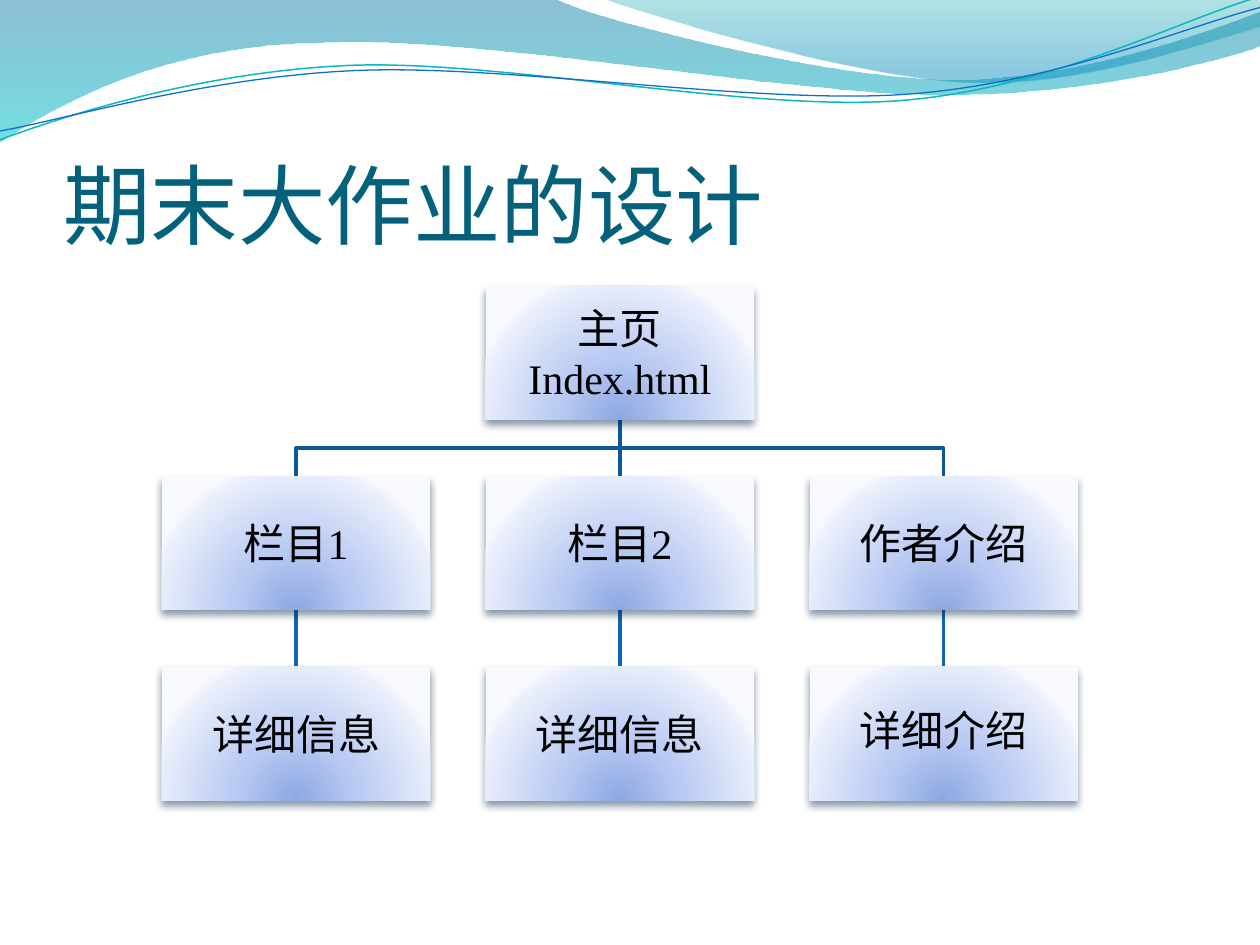
from pptx import Presentation, util as u
from pptx.dml.color import RGBColor
from pptx.enum import shapes, text
from pptx.oxml import parse_xml
from pptx.oxml.ns import qn

NAMESPACE = 'xmlns:a="http://schemas.openxmlformats.org/drawingml/2006/main"'
TITLE_COLOR = RGBColor(0x04, 0x61, 0x7B)
TEXT_COLOR = RGBColor(0, 0, 0)
UPPER_LINK = RGBColor(0x0C, 0x59, 0x9F)
LOWER_LINK = RGBColor(0x0E, 0x65, 0xB4)
TEAL = RGBColor(0x0A, 0xB8, 0xBF)
BLUE = RGBColor(0x0F, 0x6F, 0xC6)

presentation = Presentation()
presentation.slide_width = u.Inches(10)
presentation.slide_height = u.Inches(7.5)
slide = presentation.slides.add_slide(presentation.slide_layouts[5])


def draw_outline(start, segments, closed=False, color=None, width=0):
    points = [segment[i:i + 2] for segment in segments for i in range(0, len(segment), 2)]
    builder = slide.shapes.build_freeform(u.Inches(start[0]), u.Inches(start[1]))
    builder.add_line_segments([(u.Inches(x), u.Inches(y)) for x, y in points], close=closed)
    shape = builder.convert_to_shape()
    steps = iter(list(shape._element.iter(qn("a:lnTo"))))
    for segment in segments:
        step = next(steps)
        if len(segment) == 6:
            curve = parse_xml(f"<a:cubicBezTo {NAMESPACE}/>")
            step.addprevious(curve)
            for control in (step, next(steps), next(steps)):
                curve.append(control[0])
                control.getparent().remove(control)
    shape.shadow.inherit = False
    shape.fill.background()
    shape.line.fill.background()
    if color is not None:
        shape.line.color.rgb = color
        shape.line.width = u.Pt(width)
    return shape


def set_gradient(shape, stops, direction):
    shape.fill.background()
    stop_xml = "".join(
        f'<a:gs pos="{position * 1000}"><a:srgbClr val="{color}">'
        f'<a:alpha val="{opacity * 1000}"/></a:srgbClr></a:gs>'
        for position, color, opacity in stops)
    empty_fill = shape._element.spPr.find(qn("a:noFill"))
    shape._element.spPr.replace(empty_fill, parse_xml(
        f'<a:gradFill {NAMESPACE} rotWithShape="1"><a:gsLst>{stop_xml}</a:gsLst>'
        f'{direction}</a:gradFill>'))


DOWNWARD = '<a:lin ang="5400000" scaled="0"/>'
waves = [
    ((0, -0.01),
     [(4.4, -0.01), (4.76, 0.17, 6.64, 0.63, 7.58, 0.63), (8.53, 0.63, 9.58, 0.26, 10, 0.09),
      (10.01, 0.36), (9.83, 0.44, 8.7, 0.76, 7.46, 0.75), (6.22, 0.75, 3.82, 0.28, 2.57, 0.34),
      (1.29, 0.35, 0.46, 0.83, -0.01, 1.13), (0, -0.01)],
     [(0, "0074A1", 45), (100, "00C6CF", 55)]),
    ((4.79, -0.01),
     [(5.09, 0.11, 6.82, 0.62, 7.69, 0.65), (8.56, 0.69, 9.61, 0.32, 10, 0.21), (10, 0),
      (4.79, -0.01)],
     [(0, "00A1A9", 30), (80, "008BBF", 45)]),
]
for start, segments, stops in waves:
    set_gradient(draw_outline(start, segments, True), stops, DOWNWARD)

ribbons = [
    ((0, 1.11), [(0.48, 0.93, 1.58, 0.57, 2.77, 0.52), (3.95, 0.47, 5.93, 0.89, 7.13, 0.8),
                 (8.33, 0.71, 9.38, 0.15, 9.98, -0.02)], TEAL, 0.85),
    ((0, 1.04), [(0.47, 0.96, 1.64, 0.61, 2.83, 0.56), (4.03, 0.51, 5.97, 0.83, 7.17, 0.75),
                 (8.36, 0.67, 9.41, 0.21, 10, 0.06)], BLUE, 0.75),
]
for start, segments, color, width in ribbons:
    draw_outline(start, segments, False, color, width)

title = slide.shapes.title
slide.shapes._spTree.append(title._element)
title.left, title.top, title.width, title.height = map(u.Inches, (0.5, 0.78, 9, 1.25))
frame = title.text_frame
frame.vertical_anchor = text.MSO_ANCHOR.BOTTOM
frame.margin_left = frame.margin_right = frame.margin_bottom = 0
frame.margin_top = u.Inches(0.05)
paragraph = frame.paragraphs[0]
paragraph.alignment = text.PP_ALIGN.LEFT
run = paragraph.add_run()
run.text = "期末大作业的设计"
run.font.size = u.Pt(50)
run.font.name = "Calibri"
run.font.color.rgb = TITLE_COLOR

BOX_WIDTH, BOX_HEIGHT = 2.13, 1.06
CENTERS = [2.35 + 2.57 * column for column in range(3)]
ROWS = [2.27 + 1.51 * row for row in range(3)]
BOTTOMS = [top + BOX_HEIGHT for top in ROWS]
STRIP = u.Inches(0.1)

links = [(2, 1, LOWER_LINK), (2, 0, UPPER_LINK), (1, 1, LOWER_LINK),
         (1, 0, UPPER_LINK), (0, 1, LOWER_LINK), (0, 0, UPPER_LINK)]
for column, row, color in links:
    center = CENTERS[column]
    if row == 0 and column != 1:
        middle = (BOTTOMS[0] + ROWS[1]) / 2
        draw_outline((CENTERS[1], BOTTOMS[0]),
                     [(CENTERS[1], middle), (center, middle), (center, ROWS[1])],
                     False, color, 2)
    else:
        link = draw_outline((center, BOTTOMS[row]), [(center, ROWS[row + 1])], False, color, 2)
        link.left -= STRIP // 2
        link.width = STRIP
        next(link._element.iter(qn("a:path"))).set("w", str(STRIP))
        for point in link._element.iter(qn("a:pt")):
            point.set("x", str(STRIP // 2))

BOX_STOPS = [(0, "8DA8E3", 100), (43, "BBCBF3", 100), (93, "EAEFFB", 100), (100, "F7F9FF", 100)]
FROM_BOTTOM = '<a:path path="circle"><a:fillToRect l="50000" t="130000" r="50000" b="-30000"/></a:path>'
SHADOW = (f'<a:effectLst {NAMESPACE}><a:outerShdw blurRad="{u.Pt(4.5)}" dist="{u.Pt(3)}" '
          'dir="5400000" rotWithShape="0"><a:srgbClr val="042747"><a:alpha val="48000"/>'
          '</a:srgbClr></a:outerShdw></a:effectLst>')
TIMES = "Times New Roman"
boxes = [
    (1, 0, ["主页", "Index.html"], TIMES),
    (0, 1, ["栏目1"], TIMES), (0, 2, ["详细信息"], TIMES),
    (1, 1, ["栏目2"], TIMES), (1, 2, ["详细信息"], TIMES),
    (2, 1, ["作者介绍"], TIMES), (2, 2, ["详细介绍"], "Vollkorn"),
]
for column, row, lines, font_name in boxes:
    box = slide.shapes.add_shape(
        shapes.MSO_SHAPE.RECTANGLE, u.Inches(CENTERS[column] - BOX_WIDTH / 2),
        u.Inches(ROWS[row]), u.Inches(BOX_WIDTH), u.Inches(BOX_HEIGHT))
    set_gradient(box, BOX_STOPS, FROM_BOTTOM)
    box.line.fill.background()
    box._element.spPr.append(parse_xml(SHADOW))
    frame = box.text_frame
    frame.word_wrap = True
    frame.vertical_anchor = text.MSO_ANCHOR.MIDDLE
    frame.margin_left = frame.margin_right = u.Inches(0.02)
    frame.margin_top = frame.margin_bottom = u.Inches(0.02)
    for index, line in enumerate(lines):
        paragraph = frame.add_paragraph() if index else frame.paragraphs[0]
        paragraph.alignment = text.PP_ALIGN.CENTER
        if font_name != TIMES:
            paragraph.line_spacing = 0.9
            paragraph.space_after = u.Pt(8.4)
        run = paragraph.add_run()
        run.text = line
        run.font.size = u.Pt(24)
        run.font.name = font_name
        run.font.color.rgb = TEXT_COLOR

presentation.save("out.pptx")
